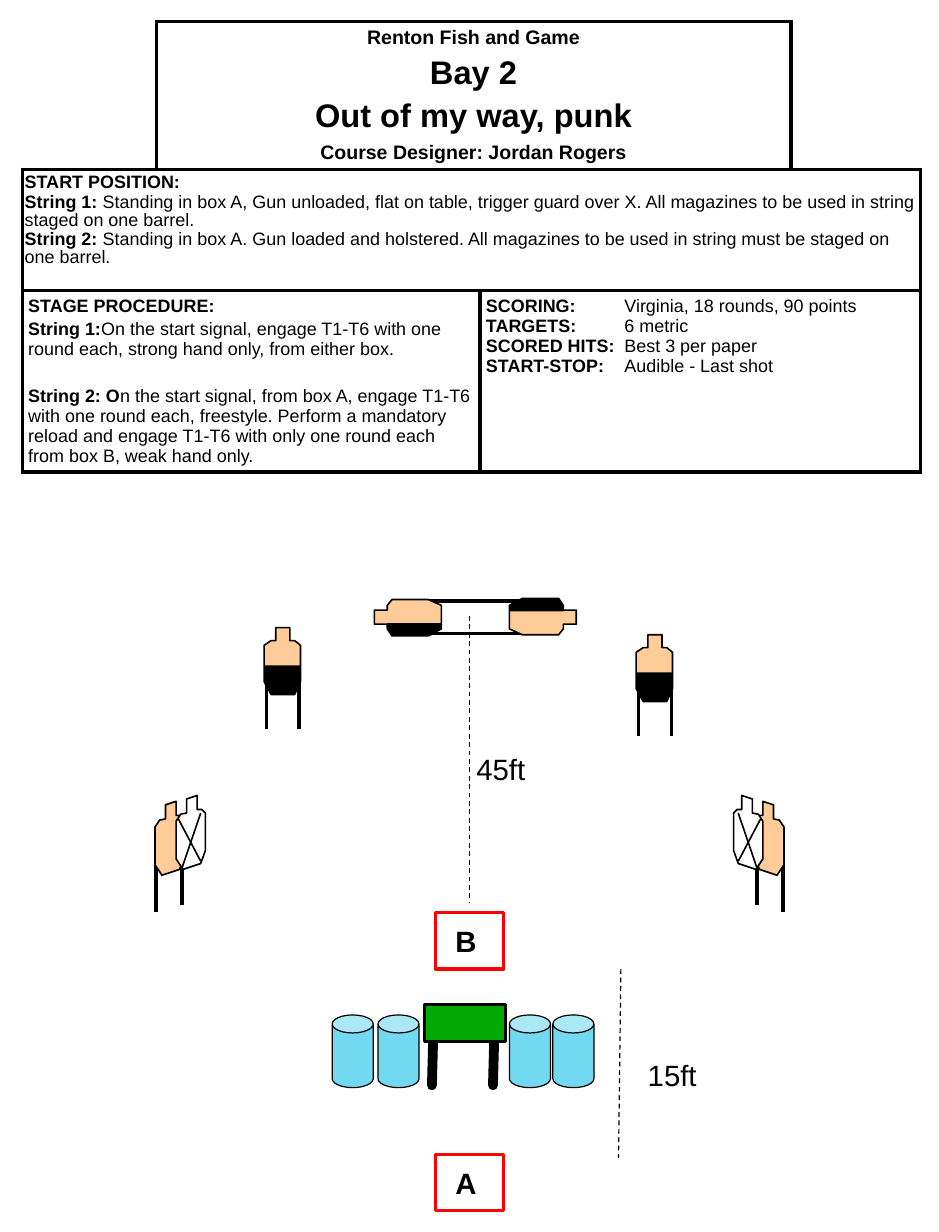
"""Build the stage sheet for Bay 2 with its briefing table and range plan."""
import math

import pptx
import pptx.dml.color
import pptx.enum.dml
import pptx.enum.shapes
import pptx.enum.text
import pptx.oxml.ns
import pptx.util
from lxml import etree
from pptx.util import Inches, Pt

INK = {"black": "000000", "white": "FFFFFF", "red": "FF0000",
       "green": "00A800", "blue": "73D9F1", "tan": "FFCC99"}
FONT = "Arial"
MID = 4
BODY = [(.1, 0), (.22, 0), (.22, .11), (.26, .11), (.31, .15), (.31, .46),
        (.26, .57), (.06, .57), (0, .46), (0, .15), (.06, .11), (.1, .11)]
LOW = [(0, .32), (.31, .32), (.31, .46), (.26, .57), (.06, .57), (0, .46)]
SIDE = [(.11, .11), (.11, .57), (.06, .57), (0, .46), (0, .15), (.06, .11)]
SLANT = [(.09, .03), (.18, 0), (.18, .12), (.22, .12), (.25, .15), (.25, .47),
         (.21, .58), (.06, .63), (0, .54), (0, .22), (.04, .16), (.09, .15)]
HEAD = [("Renton Fish and Game", "", 12, 0), ("Bay 2", "", 20, 4),
        ("Out of my way, punk", "", 20, 4),
        ("Course Designer: Jordan Rogers", "", 12, 4.2)]
START = [("START POSITION:", "", 11, 0),
         ("String 1: ", "Standing in box A, Gun unloaded, flat on table, trigger guard over X. "
          "All magazines to be used in string staged on one barrel.", 11, 1.1),
         ("String 2: ", "Standing in box A. Gun loaded and holstered. All magazines to be used "
          "in string must be staged on one barrel.", 11, 1.1)]
STEPS = [("STAGE PROCEDURE:", "", 11, 0),
         ("String 1:", "On the start signal, engage T1-T6 with one round each, "
          "strong hand only, from either box.", 11, 2.2),
         ("String 2: O", "n the start signal, from box A, engage T1-T6 with one round each, "
          "freestyle. Perform a mandatory reload and engage T1-T6 with only one round each "
          "from box B, weak hand only.", 11, 16.5)]
SCORE = [("SCORING:\t", "Virginia, 18 rounds, 90 points", 11, 0),
         ("TARGETS:\t", "6 metric", 11, 0),
         ("SCORED HITS:\t", "Best 3 per paper", 11, 0),
         ("START-STOP:\t", "Audible - Last shot", 11, 0)]
EDGES = [["RB", "LRTB", "RTB", "LB"], ["LRTB", "TB", "TB", "RTB"],
         ["LRTB", "RTB", "LRTB", "RTB"]]


def tint(name):
    return pptx.dml.color.RGBColor.from_string(INK[name])


def sub(node, tag, **attrs):
    return etree.SubElement(node, pptx.oxml.ns.qn(tag), attrs)


def style(run, size, bold):
    font = run.font
    font.name, font.size, font.bold = FONT, Pt(size), bold
    font.color.rgb = tint("black")


def paint(shape, fill, wide, line="black"):
    shape.shadow.inherit = False
    if fill:
        shape.fill.solid()
        shape.fill.fore_color.rgb = tint(fill)
    else:
        shape.fill.background()
    if wide:
        shape.line.color.rgb = tint(line)
        shape.line.width = Pt(wide)
    else:
        shape.line.fill.background()


def rule(shapes, start, end, wide, dash=False, cap=None):
    ends = [Inches(v) for v in (*start, *end)]
    line = shapes.add_connector(pptx.enum.shapes.MSO_CONNECTOR.STRAIGHT, *ends)
    line.line.color.rgb = tint("black")
    line.line.width = Pt(wide)
    if dash:
        line.line.dash_style = pptx.enum.dml.MSO_LINE.DASH
    if cap:
        line.line._get_or_add_ln().set("cap", cap)
    sub(line._element.spPr, "a:effectLst")


def poly(shapes, spots, fill, wide):
    spots = [(Inches(x), Inches(y)) for x, y in spots]
    build = shapes.build_freeform(*spots[0], scale=1.0)
    build.add_line_segments(spots[1:], close=True)
    paint(build.convert_to_shape(), fill, wide)


def target(slide, left, top, turn, zone):
    """Draw a staked target turned by a quarter angle about its corner."""
    shapes = slide.shapes.add_group_shape().shapes
    cos, sin = (round(f(math.radians(turn))) for f in (math.cos, math.sin))

    def place(spots):
        return [(left + x * cos - y * sin, top + x * sin + y * cos) for x, y in spots]

    for x in (.02, .3):
        rule(shapes, *place([(x, .42), (x, .86)]), 2.25)
    poly(shapes, place(BODY), "tan", 1)
    poly(shapes, place(zone), "black", 0)


def pair(slide, sign):
    """Draw a target half hidden by a crossed one, on one side of the middle."""
    shapes = slide.shapes.add_group_shape().shapes

    def place(spots, off, top):
        return [(MID + sign * (off - x), top + y) for x, y in spots]

    rule(shapes, *place([(.01, .51), (.01, .94)], 2.68, 6.83), 2.25)
    rule(shapes, *place([(.23, .45), (.23, .88)], 2.68, 6.83), 2.25)
    poly(shapes, place(SLANT, 2.68, 6.83), "tan", 1)
    poly(shapes, place(SLANT, 2.5, 6.78), "white", 1)
    for cross in ([(.02, .2), (.21, .56)], [(.21, .15), (.05, .62)]):
        rule(shapes, *place(cross, 2.5, 6.78), 1)


def box(slide, text, top):
    shape = slide.shapes.add_shape(pptx.enum.shapes.MSO_SHAPE.RECTANGLE, Inches(3.71),
                                   Inches(top), Inches(.58), Inches(.48))
    paint(shape, None, 2, "red")
    frame = shape.text_frame
    frame.margin_left, frame.margin_right = Inches(.17), 0
    frame.text = text
    frame.vertical_anchor = pptx.enum.text.MSO_ANCHOR.MIDDLE
    frame.paragraphs[0].alignment = pptx.enum.text.PP_ALIGN.LEFT
    style(frame.paragraphs[0].runs[0], 18, True)


def label(slide, text, left, top):
    shape = slide.shapes.add_textbox(Inches(left), Inches(top), Inches(.63), Inches(.4))
    shape.text_frame.text = text
    style(shape.text_frame.paragraphs[0].runs[0], 18, False)


def barrel(slide, left):
    shape = slide.shapes.add_shape(pptx.enum.shapes.MSO_SHAPE.CAN, Inches(left),
                                   Inches(8.65), Inches(.35), Inches(.62))
    shape.adjustments[0] = .439
    paint(shape, "blue", .75)


def bench(slide):
    shapes = slide.shapes.add_group_shape().shapes
    for x in (3.69, 4.21):
        rule(shapes, (x, 8.87), (x - .01, 9.25), 6, cap="rnd")
    poly(shapes, [(3.62, 8.56), (4.31, 8.56), (4.31, 8.88), (3.62, 8.88)], "green", 1.75)


def border(cell, sides):
    props = cell._tc.get_or_add_tcPr()
    for side in "LRTB":
        line = sub(props, "a:ln" + side, w=str(Pt(2.25)))
        if side in sides:
            sub(sub(line, "a:solidFill"), "a:srgbClr", val=INK["black"])
        else:
            sub(line, "a:noFill")
    cell.fill.solid()
    cell.fill.fore_color.rgb = tint("white")


def write(cell, paras, pad=(.05, .05), space=None, align=None, tab=None):
    """Fill a cell with paragraphs of a bold lead and plain text."""
    cell.margin_left = cell.margin_right = Inches(pad[0])
    cell.margin_top = cell.margin_bottom = Inches(pad[1])
    frame = cell.text_frame
    for n, (lead, rest, size, gap) in enumerate(paras):
        para = frame.add_paragraph() if n else frame.paragraphs[0]
        if tab:
            stops = sub(para._p.get_or_add_pPr(), "a:tabLst")
            sub(stops, "a:tab", pos=str(Inches(tab)), algn="l")
        para.text = lead
        if rest:
            para.add_run().text = rest
        for k, run in enumerate(para.runs):
            style(run, size, k == 0)
        para.alignment, para.line_spacing = align, space
        if gap:
            para.space_before = Pt(gap)


def brief(slide):
    frame = slide.shapes.add_table(3, 4, Inches(.19), Inches(.18), Inches(7.65), Inches(3.84))
    grid = frame.table
    grid.first_row = grid.horz_banding = False
    for col, wide in zip(grid.columns, (1.14, 2.76, 2.65, 1.1)):
        col.width = Inches(wide)
    for row, high, sides in zip(grid.rows, (1.26, 1.03, 1.55), EDGES):
        row.height = Inches(high)
        for cell, edge in zip(row.cells, sides):
            border(cell, edge)
    for row, first, last in ((0, 1, 2), (1, 0, 3), (2, 0, 1), (2, 2, 3)):
        grid.cell(row, first).merge(grid.cell(row, last))
    write(grid.cell(0, 1), HEAD, align=pptx.enum.text.PP_ALIGN.CENTER)
    grid.cell(0, 1).vertical_anchor = pptx.enum.text.MSO_ANCHOR.MIDDLE
    write(grid.cell(1, 0), START, pad=(.02, .04), space=.9)
    write(grid.cell(2, 0), STEPS)
    write(grid.cell(2, 2), SCORE, tab=1.18)


def main():
    deck = pptx.Presentation()
    deck.slide_width, deck.slide_height = Inches(8), Inches(10.5)
    slide = deck.slides.add_slide(deck.slide_layouts[6])
    brief(slide)
    box(slide, "B", 7.78)
    box(slide, "A", 9.84)
    bench(slide)
    for left in (2.83, 3.22, 4.34, 4.71):
        barrel(slide, left)
    for sign in (-1, 1):
        pair(slide, sign)
    for spot in ((2.25, 5.35, 0, LOW), (5.42, 5.41, 0, LOW),
                 (3.19, 5.42, 270, SIDE), (4.91, 5.1, 90, SIDE)):
        target(slide, *spot)
    rule(slide.shapes, (MID, 5.25), (MID, 7.7), .75, dash=True)
    rule(slide.shapes, (5.29, 8.26), (5.27, 9.87), .75, dash=True)
    label(slide, "15ft", 5.42, 8.96)
    label(slide, "45ft", 3.96, 6.35)
    deck.save("out.pptx")


if __name__ == "__main__":
    main()
